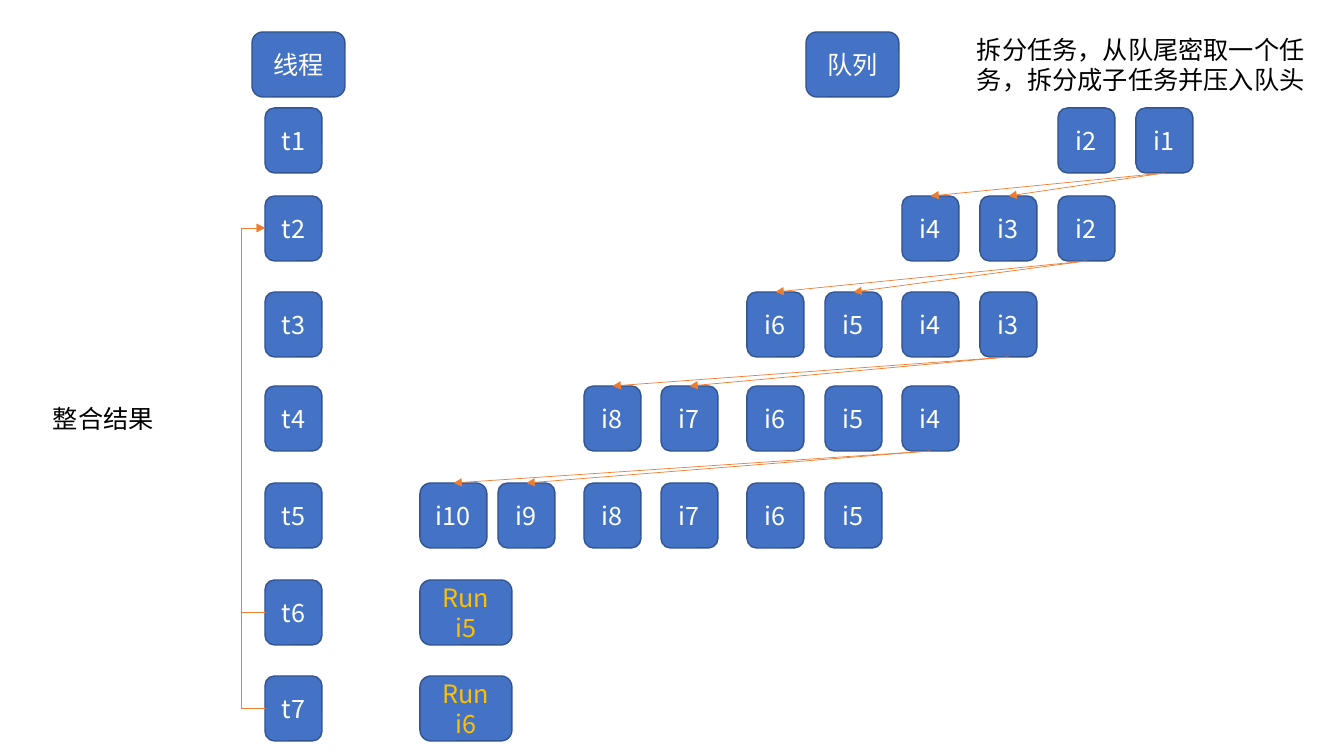
from lxml.etree import SubElement
from pptx import Presentation
from pptx.dml.color import RGBColor
from pptx.enum.shapes import MSO_CONNECTOR as Connector, MSO_SHAPE as Shape
from pptx.enum.text import MSO_ANCHOR as Anchor, PP_ALIGN as Align
from pptx.oxml.ns import qn
from pptx.util import Pt

PIXEL = 914400 / 100.8
FONT = "Noto Sans CJK SC"
BLUE, NAVY, ORANGE = "4472C4", "325491", "ED7D31"
WHITE, BLACK, GOLD = "FFFFFF", "000000", "FFC000"
TOP, BOTTOM = 0, 2


def px(*lengths):
    return [round(length * PIXEL) for length in lengths]


def paint(color_format, color):
    color_format.rgb = RGBColor.from_string(color)


class Diagram:
    """Draws the boxes, labels and arrows of the diagram on one slide."""

    def __init__(self, slide):
        self.slide = slide

    def set_text(self, shape, text, color, align):
        frame = shape.text_frame
        frame.word_wrap = True
        frame.text = text
        paragraph = frame.paragraphs[0]
        paragraph.alignment = align
        paragraph.font.size = Pt(18)
        paragraph.font.name = FONT
        paint(paragraph.font.color, color)
        defaults = paragraph._p.pPr.find(qn("a:defRPr"))
        SubElement(defaults, qn("a:ea"), typeface=FONT)

    def box(self, text, left, top, width=57, color=WHITE):
        shape = self.slide.shapes.add_shape(
            Shape.ROUNDED_RECTANGLE, *px(left, top, width, 65))
        shape.shadow.inherit = False
        shape.fill.solid()
        paint(shape.fill.fore_color, BLUE)
        paint(shape.line.color, NAVY)
        shape.line.width = Pt(1)
        shape.text_frame.vertical_anchor = Anchor.MIDDLE
        self.set_text(shape, text, color, Align.CENTER)
        return shape

    def label(self, text, left, top, width, height):
        shape = self.slide.shapes.add_textbox(*px(left, top, width, height))
        self.set_text(shape, text, BLACK, Align.LEFT)

    def connector(self, kind, *ends):
        line = self.slide.shapes.add_connector(kind, *px(*ends))
        paint(line.line.color, ORANGE)
        line.line.width = Pt(0.5)
        properties = line._element.spPr
        SubElement(properties.find(qn("a:ln")), qn("a:tailEnd"), type="triangle")
        SubElement(properties, qn("a:effectLst"))
        return line

    def arrow(self, source, target):
        line = self.connector(Connector.STRAIGHT, 0, 0, 0, 0)
        line.begin_connect(source, BOTTOM)
        line.end_connect(target, TOP)

    def return_arrow(self, left, start_y, end_y, reach):
        line = self.connector(Connector.ELBOW, left + 1, start_y, left, end_y)
        geometry = line._element.spPr.find(qn("a:prstGeom"))
        guides = geometry.find(qn("a:avLst"))
        if guides is None:
            guides = SubElement(geometry, qn("a:avLst"))
        SubElement(guides, qn("a:gd"), name="adj1", fmla=f"val {reach * 100000}")


presentation = Presentation()
presentation.slide_width, presentation.slide_height = px(1344, 756)
diagram = Diagram(presentation.slides.add_slide(presentation.slide_layouts[6]))

THREAD_LEFT, RUN_LEFT = 265, 420
row_tops = [108, 196, 292, 386, 483, 580, 676]
task_lefts = [1136, 1058, 980, 902, 825, 747, 661, 584, 498, 420]

diagram.box("线程", 252, 32, 93)
diagram.box("队列", 806, 32, 93)
for number, top in enumerate(row_tops, 1):
    diagram.box(f"t{number}", THREAD_LEFT, top)

queues = []
for number, top in enumerate(row_tops[:5], 1):
    queues.append({
        task: diagram.box(f"i{task}", task_lefts[task - 1], top, 67 if task == 10 else 57)
        for task in range(number, 2 * number + 1)})

for number, (queue, following) in enumerate(zip(queues, queues[1:]), 1):
    for subtask in (2 * number + 1, 2 * number + 2):
        diagram.arrow(queue[number], following[subtask])

for task, top in zip((5, 6), row_tops[5:]):
    diagram.box(f"Run i{task}", RUN_LEFT, top, 92, GOLD)
    diagram.return_arrow(THREAD_LEFT, top + 32, row_tops[1] + 32, 25)

diagram.label("拆分任务，从队尾密取一个任务，拆分成子任务并压入队头", 967, 29, 365, 72)
diagram.label("整合结果", 43, 398, 165, 40)

presentation.save("out.pptx")
